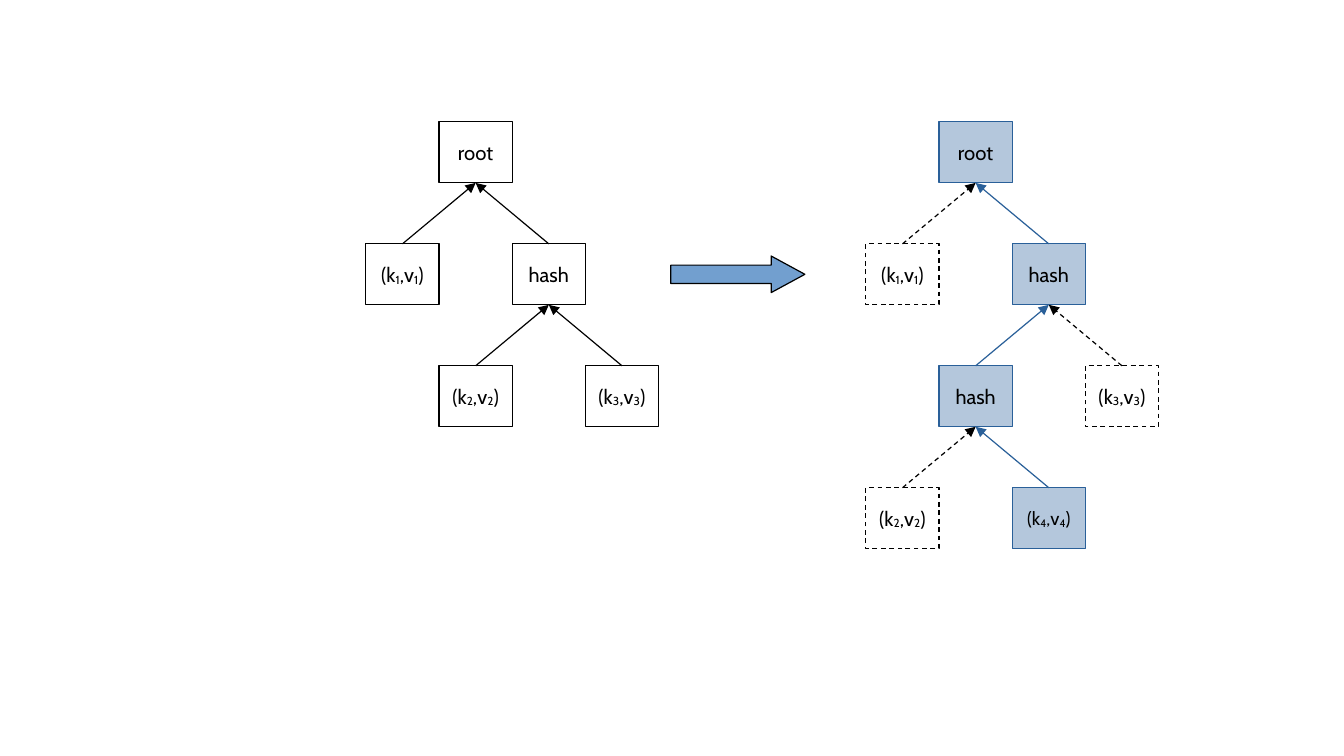
import itertools

import pptx
import pptx.dml.color
import pptx.enum.dml
import pptx.enum.shapes
import pptx.enum.text
import pptx.oxml
import pptx.oxml.ns
import pptx.util

COL, ROW = 0.6, 0.5  # grid step in inches; a node fills one cell
BLACK, WHITE, BLUE, PALE_BLUE = "000000", "FFFFFF", "2A6099", "B4C7DC"
# style: fill, line colour, dashed
PLAIN = (WHITE, BLACK, False)
UNCHANGED = (WHITE, BLACK, True)
UPDATED = (PALE_BLUE, BLUE, False)

# node: label, column, row, index of its parent, style, text size
TREE_BEFORE = [
    ("root", 1, 0, None, PLAIN, 12),
    ("(k1,v1)", 0, 2, 0, PLAIN, 12),
    ("hash", 2, 2, 0, PLAIN, 12),
    ("(k2,v2)", 1, 4, 2, PLAIN, 12),
    ("(k3,v3)", 3, 4, 2, PLAIN, 12),
]
TREE_AFTER = [
    ("root", 1, 0, None, UPDATED, 12),
    ("(k1,v1)", 0, 2, 0, UNCHANGED, 12),
    ("hash", 2, 2, 0, UPDATED, 12),
    ("hash", 1, 4, 2, UPDATED, 12),
    ("(k3,v3)", 3, 4, 2, UNCHANGED, 12),
    ("(k2,v2)", 0, 6, 3, UNCHANGED, 12),
    ("(k4,v4)", 2, 6, 3, UPDATED, 11),
]


def inches(*lengths):
    return [pptx.util.Inches(length) for length in lengths]


def color(hex_string):
    return pptx.dml.color.RGBColor.from_string(hex_string)


def set_line(s, line_color, dashed=False):
    s.line.color.rgb = color(line_color)
    s.line.width = pptx.util.Pt(0.71)
    if dashed:
        s.line.dash_style = pptx.enum.dml.MSO_LINE.DASH


def add_shape(shapes, kind, box, fill, line_color, dashed=False):
    s = shapes.add_shape(kind, *inches(*box))
    s.shadow.inherit = False
    s.fill.solid()
    s.fill.fore_color.rgb = color(fill)
    set_line(s, line_color, dashed)
    return s


def write_label(s, label, size):
    """Centre the label in the shape, with its digits as subscripts."""
    tf = s.text_frame
    tf.word_wrap = False
    tf.vertical_anchor = pptx.enum.text.MSO_ANCHOR.MIDDLE
    p = tf.paragraphs[0]
    p.alignment = pptx.enum.text.PP_ALIGN.CENTER
    p.font.name = "Cabin"
    p.font.size = pptx.util.Pt(size)
    p.font.color.rgb = color(BLACK)
    for is_subscript, chars in itertools.groupby(label, str.isdigit):
        r = p.add_run()
        r.text = "".join(chars)
        if is_subscript:
            r._r.get_or_add_rPr().set("baseline", "-8000")


def add_edge(shapes, child, parent, line_color, dashed):
    """Draw an arrow from the top of the child to the bottom of its parent."""
    c = shapes.add_connector(
        pptx.enum.shapes.MSO_CONNECTOR.STRAIGHT,
        child.left + child.width // 2, child.top,
        parent.left + parent.width // 2, parent.top + parent.height)
    c.begin_connect(child, 0)
    c.end_connect(parent, 2)
    set_line(c, line_color, dashed)
    ns = pptx.oxml.ns.nsdecls("a")
    c.line._get_or_add_ln().append(
        pptx.oxml.parse_xml(f'<a:tailEnd {ns} type="triangle"/>'))
    c._element.spPr.append(pptx.oxml.parse_xml(f"<a:effectLst {ns}/>"))


def add_tree(slide, left, top, tree):
    shapes = slide.shapes.add_group_shape().shapes
    nodes = []
    for label, col, row, parent, style, size in tree:
        box = (left + col * COL, top + row * ROW, COL, ROW)
        s = add_shape(shapes, pptx.enum.shapes.MSO_SHAPE.RECTANGLE, box, *style)
        write_label(s, label, size)
        nodes.append(s)
        if parent is not None:
            add_edge(shapes, s, nodes[parent], *style[1:])


def add_block_arrow(slide, box):
    s = add_shape(slide.shapes, pptx.enum.shapes.MSO_SHAPE.RIGHT_ARROW, box,
                  "729FCF", BLACK)
    s.adjustments[1] = 0.92


def main():
    prs = pptx.Presentation()
    prs.slide_width, prs.slide_height = inches(11.02, 6.2)
    slide = prs.slides.add_slide(prs.slide_layouts[6])
    add_tree(slide, 7.1, 1, TREE_AFTER)
    add_tree(slide, 3, 1, TREE_BEFORE)
    add_block_arrow(slide, (5.5, 2.1, 1.1, 0.3))
    prs.save("out.pptx")


if __name__ == "__main__":
    main()
